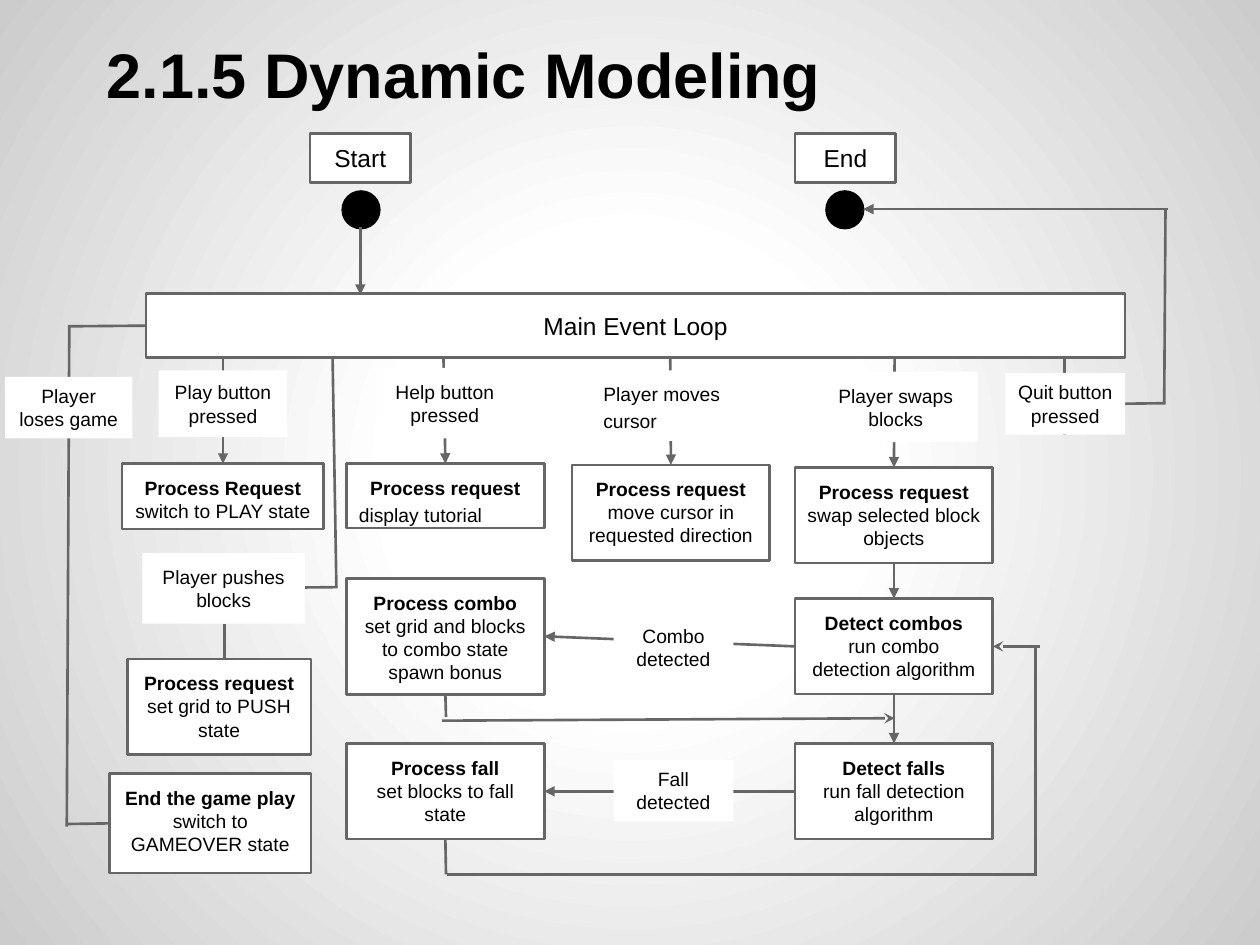
"""Build the Dynamic Modeling slide: a flow of game events around a main event loop."""
from lxml import etree
from pptx import Presentation
from pptx.dml.color import RGBColor
from pptx.enum.shapes import MSO_CONNECTOR, MSO_SHAPE
from pptx.enum.text import MSO_ANCHOR, PP_ALIGN
from pptx.oxml import parse_xml
from pptx.oxml.ns import nsdecls, qn
from pptx.util import Inches, Pt

RECT, DOT = MSO_SHAPE.RECTANGLE, MSO_SHAPE.FLOWCHART_CONNECTOR
STRAIGHT = MSO_CONNECTOR.STRAIGHT
TOP, MIDDLE = MSO_ANCHOR.TOP, MSO_ANCHOR.MIDDLE
LEFT, CENTER = PP_ALIGN.LEFT, PP_ALIGN.CENTER
N, W, S, E = range(4)

THEME = {
    "font": "Arial", "title": Pt(36), "heading": Pt(14), "body": Pt(11), "line": Pt(1.5),
    "ink": RGBColor(0, 0, 0), "paper": RGBColor(255, 255, 255), "stroke": RGBColor(0x66, 0x66, 0x66),
    "glow": "FFFFFF", "rim": "CCCCCC",
}


def add_text(shape, paragraphs, size, anchor, loose=False):
    tf = shape.text_frame
    tf.word_wrap = True
    tf.vertical_anchor = anchor
    tf.margin_left = tf.margin_right = tf.margin_top = tf.margin_bottom = Inches(0.1)
    for i, (text, bold, align) in enumerate(paragraphs):
        p = tf.paragraphs[0] if i == 0 else tf.add_paragraph()
        p.alignment = align
        if loose and align == LEFT:
            p.line_spacing = 1.15
        r = p.add_run()
        r.text = text
        r.font.name, r.font.size, r.font.bold = THEME["font"], size, bold
        r.font.color.rgb = THEME["ink"]


def add_block(geometry, x, y, w, h, fill, stroke=None):
    sp = s.shapes.add_shape(geometry, Inches(x), Inches(y), Inches(w), Inches(h))
    sp.shadow.inherit = False
    sp.fill.solid()
    sp.fill.fore_color.rgb = fill
    if stroke is None:
        sp.line.fill.background()
    else:
        sp.line.color.rgb = stroke
        sp.line.width = THEME["line"]
    return sp


prs = Presentation()
prs.slide_width, prs.slide_height = Inches(10), Inches(7.5)
s = prs.slides.add_slide(prs.slide_layouts[6])
stops = "".join(
    f'<a:gs pos="{pos}"><a:srgbClr val="{THEME[name]}"/></a:gs>'
    for pos, name in ((0, "glow"), (30000, "glow"), (100000, "rim"))
)
s.element.cSld.insert(0, parse_xml(
    f'<p:bg {nsdecls("p", "a")}><p:bgPr><a:gradFill><a:gsLst>{stops}</a:gsLst><a:path path="circle">'
    '<a:fillToRect l="50000" t="50000" r="50000" b="50000"/></a:path></a:gradFill>'
    '<a:effectLst/></p:bgPr></p:bg>'
))

title = s.shapes.add_textbox(Inches(0.75), Inches(0.18), Inches(8.75), Inches(0.8))
add_text(title, [("2.1.5 Dynamic Modeling", True, LEFT)], THEME["title"], MIDDLE)

boxes = {}
for name, x, y, w, h, text in (
    ("loop", 1.16, 2.33, 7.77, 0.51, "Main Event Loop"),
    ("start", 2.46, 1.06, 0.8, 0.39, "Start"),
    ("end", 6.31, 1.06, 0.8, 0.39, "End"),
):
    boxes[name] = add_block(RECT, x, y, w, h, THEME["paper"], THEME["stroke"])
    add_text(boxes[name], [(text, False, CENTER)], THEME["heading"], MIDDLE)

for x in (2.72, 6.56):
    add_block(DOT, x, 1.52, 0.29, 0.29, THEME["ink"], THEME["ink"])

for name, x, y, w, h, heading, details, align in (
    ("play", 0.97, 3.68, 1.6, 0.52, "Process Request", ["switch to PLAY state"], CENTER),
    ("help", 2.75, 3.68, 1.57, 0.51, "Process request", ["display tutorial"], LEFT),
    ("cursor", 4.54, 3.69, 1.57, 0.76, "Process request", ["move cursor in requested direction"], CENTER),
    ("swap", 6.31, 3.71, 1.57, 0.76, "Process request", ["swap selected block objects"], CENTER),
    ("detect combos", 6.31, 4.75, 1.57, 0.76, "Detect combos", ["run combo detection algorithm"], CENTER),
    ("combo", 2.75, 4.59, 1.57, 0.92, "Process combo",
     ["set grid and blocks to combo state", "spawn bonus"], CENTER),
    ("detect falls", 6.31, 5.9, 1.57, 0.76, "Detect falls", ["run fall detection algorithm"], CENTER),
    ("fall", 2.75, 5.9, 1.57, 0.76, "Process fall", ["set blocks to fall state"], CENTER),
    ("push", 1.01, 5.23, 1.46, 0.76, "Process request", ["set grid to PUSH state"], CENTER),
    ("game over", 0.87, 6.14, 1.6, 0.79, "End the game play", ["switch to GAMEOVER state"], CENTER),
):
    boxes[name] = add_block(RECT, x, y, w, h, THEME["paper"], THEME["stroke"])
    paragraphs = [(heading, True, CENTER)] + [(text, False, align) for text in details]
    add_text(boxes[name], paragraphs, THEME["body"], TOP, loose=True)

for begin, end, arrow, kind in (
    ((2.86, 1.8), (2.86, 2.34), "tailEnd", "triangle"),
    ((1.77, 2.85), ("play", N), "tailEnd", "triangle"),
    ((3.52, 2.84), ("help", N), "tailEnd", "triangle"),
    ((5.32, 2.85), ("cursor", N), "tailEnd", "triangle"),
    ((7.1, 2.85), ("swap", N), "tailEnd", "triangle"),
    ((8.45, 2.85), (8.45, 3.45), None, None),
    ((8.45, 3.21), (9.25, 3.2), None, None),
    ((9.24, 3.2), (9.25, 1.66), None, None),
    ((9.27, 1.66), (6.85, 1.66), "tailEnd", "triangle"),
    (("swap", S), ("detect combos", N), "tailEnd", "triangle"),
    (("detect combos", W), ("combo", E), "tailEnd", "triangle"),
    (("detect combos", S), ("detect falls", N), "tailEnd", "triangle"),
    (("detect falls", W), ("fall", E), "tailEnd", "triangle"),
    (("combo", S), (3.54, 5.69), None, None),
    ((3.51, 5.72), (7.1, 5.7), "tailEnd", "stealth"),
    (("fall", S), (3.54, 6.94), None, None),
    ((3.55, 6.94), (8.21, 6.94), None, None),
    ((8.22, 5.12), (8.22, 6.95), None, None),
    (("detect combos", E), (8.25, 5.13), "headEnd", "stealth"),
    ((2.64, 2.85), (2.67, 4.66), None, None),
    ((2.68, 4.66), (1.67, 4.67), None, None),
    ((1.78, 4.95), (1.78, 5.23), None, None),
    (("loop", W), (0.54, 2.59), None, None),
    ((0.55, 2.58), (0.53, 6.56), None, None),
    ((0.53, 6.54), ("game over", W), None, None),
):
    points = [(0, 0) if point[0] in boxes else point for point in (begin, end)]
    line = s.shapes.add_connector(STRAIGHT, *(Inches(v) for point in points for v in point))
    if begin[0] in boxes:
        line.begin_connect(boxes[begin[0]], begin[1])
    if end[0] in boxes:
        line.end_connect(boxes[end[0]], end[1])
    line.line.color.rgb = THEME["stroke"]
    line.line.width = THEME["line"]
    if arrow:
        etree.SubElement(line.line._get_or_add_ln(), qn(f"a:{arrow}"), type=kind)
    etree.SubElement(line.element.spPr, qn("a:effectLst"))

for x, y, w, h, text, align in (
    (1.26, 2.94, 1.02, 0.53, "Play button pressed", CENTER),
    (2.99, 2.92, 1.08, 0.56, "Help button pressed", CENTER),
    (7.98, 2.96, 0.95, 0.49, "Quit button pressed", CENTER),
    (4.69, 2.94, 1.3, 0.56, "Player moves cursor", LEFT),
    (6.46, 2.95, 1.3, 0.56, "Player swaps blocks", CENTER),
    (4.87, 4.89, 0.95, 0.49, "Combo detected", CENTER),
    (4.87, 6.03, 0.95, 0.49, "Fall detected", CENTER),
    (1.13, 4.39, 1.29, 0.56, "Player pushes blocks", CENTER),
    (0.04, 2.99, 1.01, 0.49, "Player loses game", CENTER),
):
    label = add_block(RECT, x, y, w, h, THEME["paper"])
    add_text(label, [(text, False, align)], THEME["body"], MIDDLE, loose=True)

prs.save("out.pptx")
